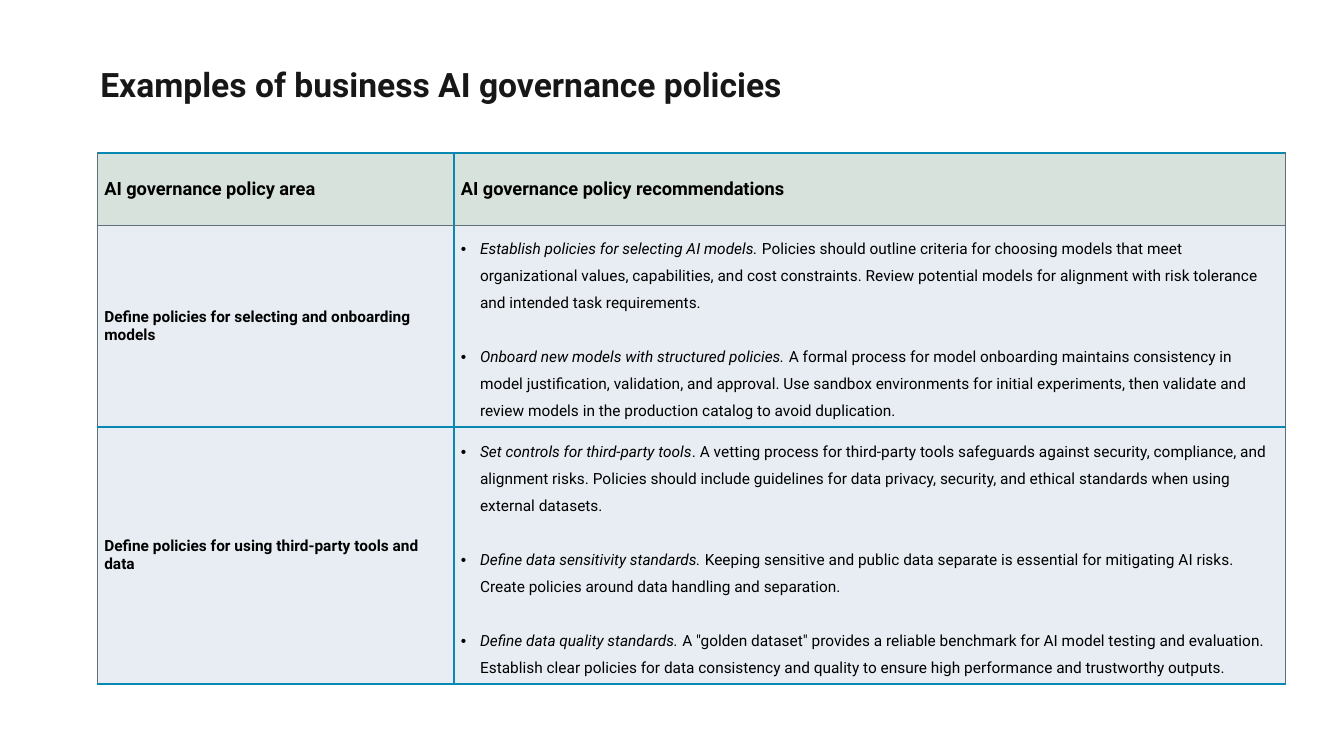
from dataclasses import dataclass

from lxml import etree
from pptx import Presentation
from pptx import util as u
from pptx.dml.color import RGBColor
from pptx.enum import text
from pptx.oxml.ns import qn

SLIDE_WIDTH, SLIDE_HEIGHT = u.Inches(13.33), u.Inches(7.5)
FONT = "Roboto"
BLACK = RGBColor(0x00, 0x00, 0x00)
TITLE_INK = RGBColor(0x18, 0x17, 0x17)
HEADER_FILL = RGBColor(0xD7, 0xE2, 0xDC)
BODY_FILL = RGBColor(0xE7, 0xED, 0xF2)
TEAL = RGBColor(0x09, 0x89, 0xB1)
GREY = RGBColor(0x60, 0x70, 0x78)

LEFT_PERCENT = 7.24
COLUMN_PERCENTS = (26.53, 61.87)
ROW_PERCENTS = (9.55, 26.7, 34.0)
HEADERS = ("AI governance policy area", "AI governance policy recommendations")


@dataclass(frozen=True)
class Recommendation:
    lead: str
    detail: str


@dataclass(frozen=True)
class PolicyArea:
    name: str
    recommendations: tuple[Recommendation, ...]


POLICY_AREAS = (
    PolicyArea("Define policies for selecting and onboarding models", (
        Recommendation(
            "Establish policies for selecting AI models. ",
            "Policies should outline criteria for choosing models that meet organizational "
            "values, capabilities, and cost constraints. Review potential models for "
            "alignment with risk tolerance and intended task requirements."),
        Recommendation(
            "Onboard new models with structured policies. ",
            "A formal process for model onboarding maintains consistency in model "
            "justification, validation, and approval. Use sandbox environments for initial "
            "experiments, then validate and review models in the production catalog to "
            "avoid duplication."),
    )),
    PolicyArea("Define policies for using third-party tools and data", (
        Recommendation(
            "Set controls for third-party tools",
            ". A vetting process for third-party tools safeguards against security, "
            "compliance, and alignment risks. Policies should include guidelines for data "
            "privacy, security, and ethical standards when using external datasets."),
        Recommendation(
            "Define data sensitivity standards. ",
            "Keeping sensitive and public data separate is essential for mitigating AI "
            "risks. Create policies around data handling and separation."),
        Recommendation(
            "Define data quality standards. ",
            'A "golden dataset" provides a reliable benchmark for AI model testing and '
            "evaluation. Establish clear policies for data consistency and quality to "
            "ensure high performance and trustworthy outputs."),
    )),
)


def across(percent: float) -> int:
    return round(SLIDE_WIDTH * percent / 100)


def down(percent: float) -> int:
    return round(SLIDE_HEIGHT * percent / 100)


def add_span(para, words: str, *, size: float = 11, color: RGBColor = BLACK,
             bold: bool = False, italic: bool = False) -> None:
    span = para.add_run()
    span.text = words
    font = span.font
    font.name, font.size, font.bold, font.italic = FONT, u.Pt(size), bold, italic
    font.color.rgb = color


def add_border(cell, side: str, color: RGBColor, points: float) -> None:
    """Draw one cell edge; side is L, R, T or B, added in that order."""
    line = etree.SubElement(cell._tc.get_or_add_tcPr(), qn(f"a:ln{side}"),
                            w=str(u.Pt(points)))
    fill = etree.SubElement(line, qn("a:solidFill"))
    etree.SubElement(fill, qn("a:srgbClr"), val=str(color))


def format_cell(table, row: int, column: int) -> None:
    cell = table.cell(row, column)
    last_column = len(table.columns) - 1
    grey_edges = {"L": column == 0, "R": column == last_column,
                  "T": row == 1, "B": row == 0}
    for side, is_grey in grey_edges.items():
        add_border(cell, side, GREY if is_grey else TEAL, 0.5 if is_grey else 1.5)
    cell.fill.solid()
    cell.fill.fore_color.rgb = HEADER_FILL if row == 0 else BODY_FILL
    cell.vertical_anchor = text.MSO_ANCHOR.MIDDLE
    cell.margin_left = cell.margin_right = u.Inches(0.07)
    cell.margin_top = cell.margin_bottom = u.Inches(0.04)


def write_recommendations(cell, recommendations: tuple[Recommendation, ...]) -> None:
    frame = cell.text_frame
    for index, item in enumerate(recommendations):
        para = frame.add_paragraph() if index else frame.paragraphs[0]
        properties = para._p.get_or_add_pPr()
        properties.set("marL", str(u.Inches(0.19)))
        properties.set("indent", str(-u.Inches(0.19)))
        etree.SubElement(properties, qn("a:buFont"), typeface="Arial")
        etree.SubElement(properties, qn("a:buChar"), char="•")
        para.line_spacing = 1.5
        if index:
            para.space_before = u.Pt(19.3)
        add_span(para, item.lead, italic=True)
        add_span(para, item.detail)


def add_title(page, words: str) -> None:
    title = page.shapes.title
    title.left, title.top = across(LEFT_PERCENT), down(8.05)
    title.width, title.height = across(55.36), down(6.13)
    frame = title.text_frame
    frame.auto_size = text.MSO_AUTO_SIZE.NONE
    frame.word_wrap = True
    frame.vertical_anchor = text.MSO_ANCHOR.TOP
    frame.margin_left = frame.margin_right = u.Inches(0.03)
    frame.margin_top = frame.margin_bottom = u.Inches(0.03)
    para = frame.paragraphs[0]
    para.alignment = text.PP_ALIGN.LEFT
    add_span(para, words, size=24, color=TITLE_INK, bold=True)


def add_policy_table(page) -> None:
    table = page.shapes.add_table(
        len(ROW_PERCENTS), len(COLUMN_PERCENTS), across(LEFT_PERCENT), down(20.23),
        across(sum(COLUMN_PERCENTS)), down(sum(ROW_PERCENTS))).table
    table.first_row = table.horz_banding = False
    for column, percent in zip(table.columns, COLUMN_PERCENTS):
        column.width = across(percent)
    for row, percent in zip(table.rows, ROW_PERCENTS):
        row.height = down(percent)
    for row in range(len(ROW_PERCENTS)):
        for column in range(len(COLUMN_PERCENTS)):
            format_cell(table, row, column)
    for column, header in enumerate(HEADERS):
        add_span(table.cell(0, column).text_frame.paragraphs[0], header, size=13, bold=True)
    for row, area in enumerate(POLICY_AREAS, start=1):
        add_span(table.cell(row, 0).text_frame.paragraphs[0], area.name, bold=True)
        write_recommendations(table.cell(row, 1), area.recommendations)


def main() -> None:
    deck = Presentation()
    deck.slide_width, deck.slide_height = SLIDE_WIDTH, SLIDE_HEIGHT
    page = deck.slides.add_slide(deck.slide_layouts.get_by_name("Title Only"))
    add_title(page, "Examples of business AI governance policies")
    add_policy_table(page)
    deck.save("out.pptx")


if __name__ == "__main__":
    main()
